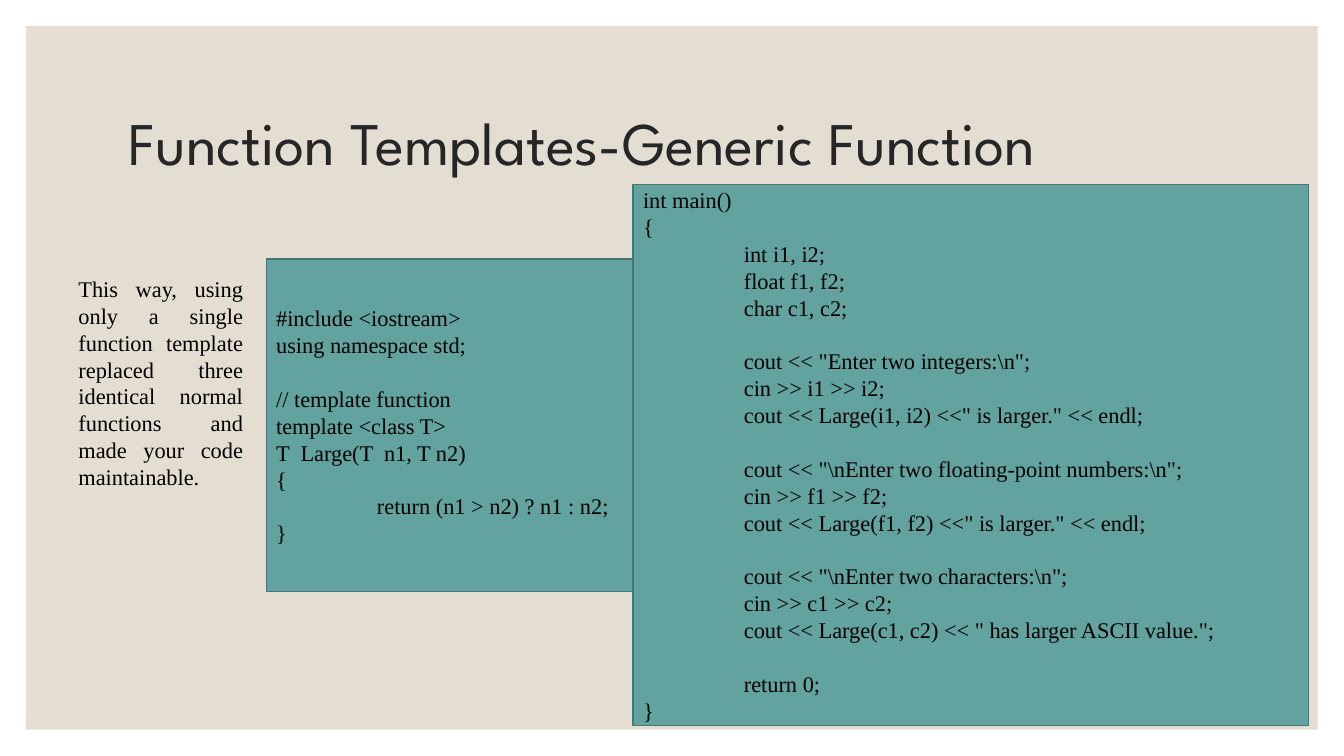
from dataclasses import dataclass

from lxml import etree
from pptx import Presentation
from pptx.dml.color import RGBColor
from pptx.enum import shapes, text
from pptx.oxml.ns import qn
from pptx.util import Inches, Pt

SAND = RGBColor(0xE3, 0xDE, 0xD1)
TEAL = RGBColor(0x62, 0xA3, 0x9F)
DARK_TEAL = RGBColor(0x47, 0x76, 0x74)
CHARCOAL = RGBColor(0x26, 0x26, 0x26)
BLACK = RGBColor(0, 0, 0)
TITLE_FONT = "League Spartan"
BODY_FONT = "Times New Roman"
CODE_INDENT = Inches(1)

TEMPLATE_CODE = r"""#include <iostream>
using namespace std;

// template function
template <class T>
T  Large(T  n1, T n2)
{
    return (n1 > n2) ? n1 : n2;
}"""

MAIN_CODE = r"""int main()
{
    int i1, i2;
    float f1, f2;
    char c1, c2;

    cout << "Enter two integers:\n";
    cin >> i1 >> i2;
    cout << Large(i1, i2) <<" is larger." << endl;

    cout << "\nEnter two floating-point numbers:\n";
    cin >> f1 >> f2;
    cout << Large(f1, f2) <<" is larger." << endl;

    cout << "\nEnter two characters:\n";
    cin >> c1 >> c2;
    cout << Large(c1, c2) << " has larger ASCII value.";

    return 0;
}"""

REMARK = ("This way, using only a single function template replaced three "
          "identical normal functions and made your code maintainable.")


@dataclass(frozen=True)
class Area:
    left: float
    top: float
    width: float
    height: float

    def lengths(self) -> tuple:
        return tuple(Inches(v) for v in (self.left, self.top, self.width, self.height))


@dataclass(frozen=True)
class CodePanel:
    area: Area
    code: str


CODE_PANELS = (
    CodePanel(Area(2.64, 2.57, 4.11, 3.3), TEMPLATE_CODE),
    CodePanel(Area(6.28, 1.83, 6.7, 5.37), MAIN_CODE),
)


def add_rectangle(page, area: Area, color: RGBColor):
    box = page.shapes.add_shape(shapes.MSO_SHAPE.RECTANGLE, *area.lengths())
    box.shadow.inherit = False
    box.fill.solid()
    box.fill.fore_color.rgb = color
    return box


def format_paragraph(para, alignment, font: str, size: float, color: RGBColor) -> None:
    para.alignment = alignment
    para.font.name = font
    para.font.size = Pt(size)
    para.font.color.rgb = color


def add_tab_stop(para) -> None:
    stops = etree.SubElement(para._p.get_or_add_pPr(), qn("a:tabLst"))
    etree.SubElement(stops, qn("a:tab"), pos=str(int(CODE_INDENT)), algn="l")


def add_background(page) -> None:
    background = add_rectangle(page, Area(0.26, 0.26, 12.81, 6.98), SAND)
    background.line.fill.background()
    page.shapes._spTree.insert(2, background._element)


def fill_title(page) -> None:
    title = page.shapes.title
    title.left, title.top, title.width, title.height = Area(1.17, 0.7, 11, 1.5).lengths()
    title.text_frame.text = "Function Templates-Generic Function"
    title.text_frame.vertical_anchor = text.MSO_ANCHOR.MIDDLE
    para = title.text_frame.paragraphs[0]
    para.line_spacing = 0.9
    format_paragraph(para, text.PP_ALIGN.LEFT, TITLE_FONT, 43.2, CHARCOAL)


def add_code_panel(page, panel: CodePanel) -> None:
    box = add_rectangle(page, panel.area, TEAL)
    box.line.color.rgb = DARK_TEAL
    box.line.width = Pt(1)
    frame = box.text_frame
    frame.word_wrap = True
    frame.vertical_anchor = text.MSO_ANCHOR.MIDDLE
    frame.text = panel.code.replace("    ", "\t")
    for para in frame.paragraphs:
        add_tab_stop(para)
        format_paragraph(para, text.PP_ALIGN.LEFT, BODY_FONT, 16, BLACK)


def add_remark(page) -> None:
    box = page.shapes.add_textbox(*Area(0.68, 2.68, 1.83, 2.86).lengths())
    frame = box.text_frame
    frame.word_wrap = True
    frame.text = REMARK
    format_paragraph(frame.paragraphs[0], text.PP_ALIGN.JUSTIFY, BODY_FONT, 16, BLACK)


def main() -> None:
    deck = Presentation()
    deck.slide_width, deck.slide_height = Inches(13.33), Inches(7.5)
    page = deck.slides.add_slide(deck.slide_layouts[5])
    add_background(page)
    fill_title(page)
    for panel in CODE_PANELS:
        add_code_panel(page, panel)
    add_remark(page)
    deck.save("out.pptx")


if __name__ == "__main__":
    main()
